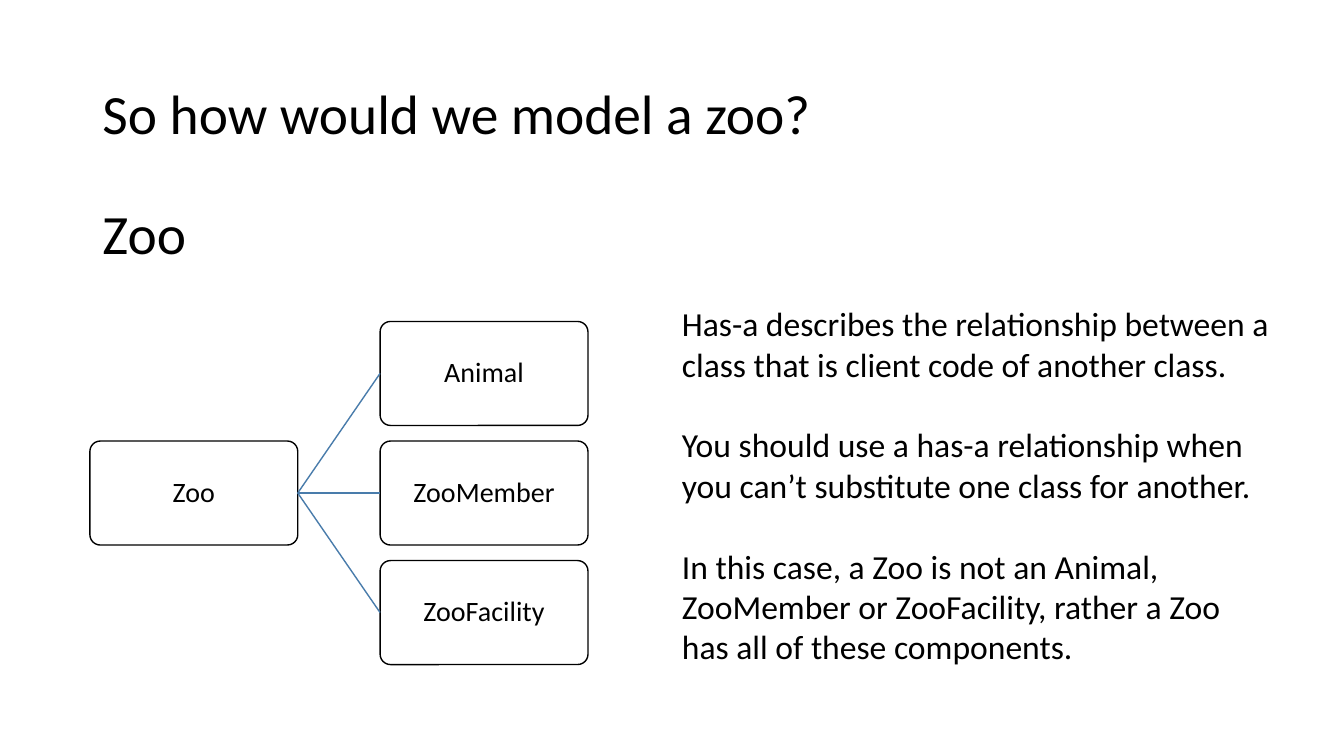
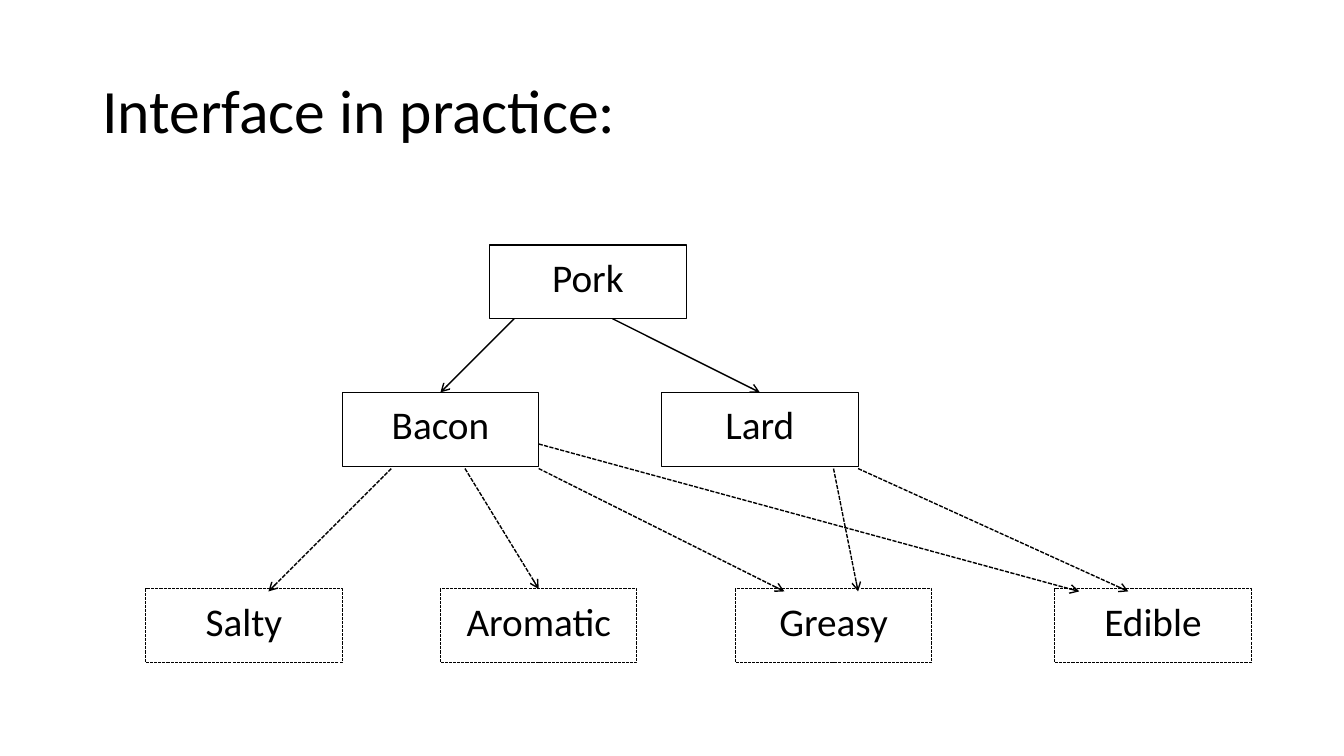
import pptx
import pptx.dml.color
import pptx.enum.dml
import pptx.enum.shapes
import pptx.enum.text
import pptx.oxml
import pptx.oxml.ns
import pptx.util

Pt = pptx.util.Pt
Shapes = pptx.enum.shapes.MSO_SHAPE
Align = pptx.enum.text.PP_ALIGN
Anchor = pptx.enum.text.MSO_ANCHOR

FONT = "Calibri"
BLACK = "000000"
WHITE = "FFFFFF"
BLUE = "497CAB"
TITLE_LEFT, TITLE_WIDTH = 66, 828

TOP, LEFT, RIGHT = 0, 1, 3  # connection sites of a rectangle

# Interface diagram: every place is counted in grid units.
UNIT = 35.1
GRID_LEFT, GRID_TOP = 104, 175
BOX_COLUMNS, BOX_ROWS = 4, 1.5


def rgb(value):
    return pptx.dml.color.RGBColor.from_string(value)


def add_text(frame, texts, size, align, line_spacing=1.0, gap=0):
    """Fill a frame with one paragraph per text, set apart by gap."""
    frame.word_wrap = True
    for index, text in enumerate(texts):
        para = frame.paragraphs[0] if index == 0 else frame.add_paragraph()
        para.alignment = align
        para.line_spacing = line_spacing
        para.space_before = Pt(gap if index else 0)
        span = para.add_run()
        span.text = text
        span.font.name = FONT
        span.font.size = Pt(size)
        span.font.color.rgb = rgb(BLACK)


def add_titled_slide(deck, texts, top, height, size, gap=0):
    slide = deck.slides.add_slide(deck.slide_layouts[5])
    title = slide.shapes.title
    title.left, title.top = Pt(TITLE_LEFT), Pt(top)
    title.width, title.height = Pt(TITLE_WIDTH), Pt(height)
    title.text_frame.auto_size = pptx.enum.text.MSO_AUTO_SIZE.NONE
    title.text_frame.vertical_anchor = Anchor.MIDDLE
    add_text(title.text_frame, texts, size, Align.LEFT, 0.9, gap)
    return slide


def style_line(line, color, width, dashed=False):
    line.color.rgb = rgb(color)
    line.width = Pt(width)
    if dashed:
        line.dash_style = pptx.enum.dml.MSO_LINE.SQUARE_DOT


def add_box(slide, preset, left, top, width, height, line_width, dashed=False):
    box = slide.shapes.add_shape(preset, Pt(left), Pt(top), Pt(width), Pt(height))
    box.shadow.inherit = False
    style_line(box.line, BLACK, line_width, dashed)
    return box


def add_line(slide, start, end, color, dashed=False, arrow=False):
    line = slide.shapes.add_connector(
        pptx.enum.shapes.MSO_CONNECTOR.STRAIGHT, *(Pt(value) for value in (*start, *end)))
    style_line(line.line, color, 1, dashed)
    properties = line._element.spPr
    if arrow:
        outline = properties.find(pptx.oxml.ns.qn("a:ln"))
        tail = pptx.oxml.parse_xml(
            f'<a:tailEnd {pptx.oxml.ns.nsdecls("a")} type="arrow"/>')
        outline.append(tail)
    properties.append(
        pptx.oxml.parse_xml(f'<a:effectLst {pptx.oxml.ns.nsdecls("a")}/>'))
    return line


def add_class_box(slide, name, left, top):
    box = add_box(slide, Shapes.ROUNDED_RECTANGLE, left, top, 148.5, 74.3, 1)
    box.adjustments[0] = 0.1
    box.fill.solid()
    box.fill.fore_color.rgb = rgb(WHITE)
    frame = box.text_frame
    frame.margin_left = frame.margin_right = Pt(3)
    frame.margin_top = frame.margin_bottom = Pt(3)
    frame.vertical_anchor = Anchor.MIDDLE
    add_text(frame, [name], 20, Align.CENTER, 0.9)
    return box


def grid_point(column, row):
    return GRID_LEFT + column * UNIT, GRID_TOP + row * UNIT


def add_grid_box(slide, name, column, row, dashed):
    box = add_box(slide, Shapes.RECTANGLE, *grid_point(column, row),
                  BOX_COLUMNS * UNIT, BOX_ROWS * UNIT, 0.75, dashed)
    box.fill.background()
    box.text_frame.vertical_anchor = Anchor.TOP
    add_text(box.text_frame, [name], 28, Align.CENTER, 1.07)
    return box


def add_zoo_slide(deck):
    slide = add_titled_slide(
        deck, ["So how would we model a zoo?", "Zoo"], 54.7, 143.3, 39.6, gap=43)
    middle, pitch = 315, 85.4
    zoo = add_class_box(slide, "Zoo", 64.2, middle)
    for index, name in enumerate(["Animal", "ZooMember", "ZooFacility"]):
        part = add_class_box(slide, name, 271.5, middle + (index - 1) * pitch)
        line = add_line(slide, (0, 0), (0, 0), BLUE)
        line.begin_connect(zoo, RIGHT)
        line.end_connect(part, LEFT)

    notes = slide.shapes.add_textbox(Pt(480), Pt(213), Pt(434), Pt(327))
    add_text(notes.text_frame, [
        "Has-a describes the relationship between a class that is client code of another class.",
        "You should use a has-a relationship when you can’t substitute one class for another.",
        "In this case, a Zoo is not an Animal, ZooMember or ZooFacility, "
        "rather a Zoo has all of these components.",
    ], 24, Align.LEFT, gap=29)


def add_interface_slide(deck):
    slide = add_titled_slide(deck, ["Interface in practice:"], 28.8, 104.4, 44)
    boxes = {
        name: add_grid_box(slide, name, column, row, dashed)
        for name, column, row, dashed in [
            ("Pork", 7, 0, False),
            ("Bacon", 4, 3, False),
            ("Lard", 10.5, 3, False),
            ("Salty", 0, 7, True),
            ("Aromatic", 6, 7, True),
            ("Greasy", 12, 7, True),
            ("Edible", 18.5, 7, True),
        ]
    }
    # start, end, dashed, box whose top middle the arrow meets
    arrows = [
        ((7.5, 1.5), (6, 3), False, "Bacon"),
        ((9.5, 1.5), (12.5, 3), False, "Lard"),
        ((5, 4.55), (2.5, 7.05), True, None),
        ((6.5, 4.55), (8, 7), True, "Aromatic"),
        ((8, 4.55), (13, 7.05), True, None),
        ((14, 4.55), (14.5, 7.05), True, None),
        ((14.5, 4.55), (20, 7.05), True, None),
        ((8, 4.05), (19, 7.05), True, None),
    ]
    for start, end, dashed, target in arrows:
        arrow = add_line(slide, grid_point(*start), grid_point(*end),
                         BLACK, dashed, arrow=True)
        if target:
            arrow.end_connect(boxes[target], TOP)


def main():
    deck = pptx.Presentation()
    deck.slide_width, deck.slide_height = Pt(960), Pt(540)
    add_zoo_slide(deck)
    add_interface_slide(deck)
    deck.save("out.pptx")


if __name__ == "__main__":
    main()
